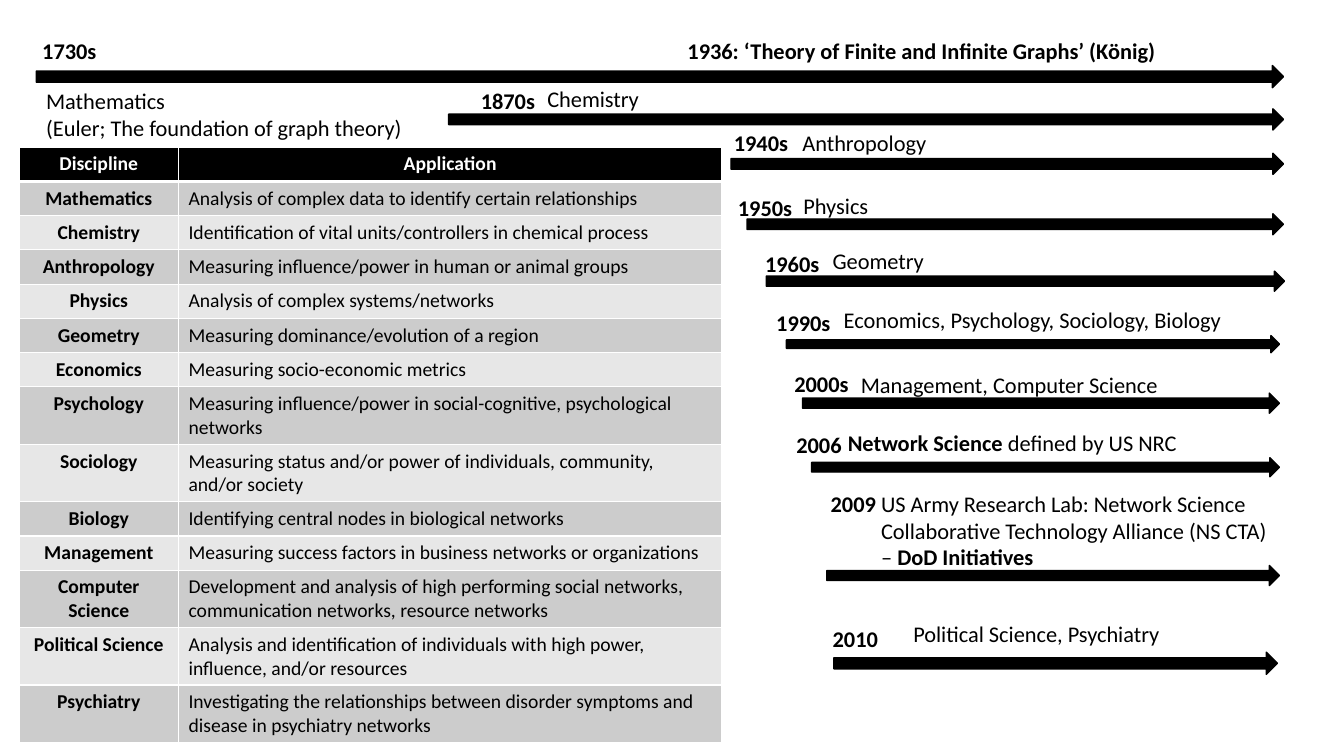
import pptx
import pptx.util
import pptx.dml.color
import pptx.enum.shapes
import pptx.enum.text
import lxml.etree
from dataclasses import dataclass
from pptx.util import Inches


@dataclass(frozen=True)
class Theme:
    font: str = "Calibri"
    black: str = "000000"
    white: str = "FFFFFF"
    bands: tuple = ("CCCCCC", "E7E7E7")
    timeline_size: int = 16
    table_size: int = 14
    thin: int = 1
    thick: int = 3


THEME = Theme()
SLIDE_SIZE = (13.33, 7.5)
LABEL_HEIGHT = 0.37
DRAWING = "http://schemas.openxmlformats.org/drawingml/2006/main"

# Year, year (left, top), arrow (left, top, right, height), label (left, top, width), label spans
# A span is (text, bold)
MILESTONES = [
    ("1870s", (4.67, 0.82), (4.45, 1.08, 12.73, 0.21), (5.33, 0.8, 3.9),
     [("Chemistry", False)]),
    ("1940s", (7.18, 1.23), (7.25, 1.52, 12.73, 0.21), (7.86, 1.23, 1.47),
     [("Anthropology", False)]),
    ("1950s", (7.22, 1.88), (7.41, 2.12, 12.73, 0.21), (7.87, 1.86, 2.47),
     [("Physics", False)]),
    ("1960s", (7.49, 2.43), (7.6, 2.69, 12.74, 0.2), (8.16, 2.4, 2.47),
     [("Geometry", False)]),
    ("1990s", (7.6, 3.02), (7.8, 3.33, 12.69, 0.17), (8.27, 2.99, 5.06),
     [("Economics, Psychology, Sociology, Biology", False)]),
    ("2000s", (7.78, 3.62), (7.96, 3.9, 12.69, 0.2), (8.44, 3.63, 4.78),
     [("Management, Computer Science", False)]),
    ("2006", (7.8, 4.23), (8.05, 4.54, 12.69, 0.19), (8.31, 4.21, 5.02),
     [("Network Science ", True), ("defined by US NRC", False)]),
    ("2009", (8.14, 4.81), (8.2, 5.61, 12.69, 0.2), (8.64, 4.81, 4.09),
     [("US Army Research Lab: Network Science Collaborative Technology "
       "Alliance (NS CTA) – ", False), ("DoD Initiatives", True)]),
    ("2010", (8.16, 6.15), (8.27, 6.47, 12.67, 0.22), (8.96, 6.1, 4.37),
     [("Political Science, Psychiatry", False)]),
]

# Discipline, application, number of text lines
APPLICATIONS = [
    ("Discipline", "Application", 1),
    ("Mathematics", "Analysis of complex data to identify certain relationships", 1),
    ("Chemistry", "Identification of vital units/controllers in chemical process", 1),
    ("Anthropology", "Measuring influence/power in human or animal groups", 1),
    ("Physics", "Analysis of complex systems/networks", 1),
    ("Geometry", "Measuring dominance/evolution of a region", 1),
    ("Economics", "Measuring socio-economic metrics", 1),
    ("Psychology", "Measuring influence/power in social-cognitive, psychological networks", 2),
    ("Sociology", "Measuring status and/or power of individuals, community, and/or society", 2),
    ("Biology", "Identifying central nodes in biological networks", 1),
    ("Management", "Measuring success factors in business networks or organizations", 1),
    ("Computer Science", "Development and analysis of high performing social networks, "
     "communication networks, resource networks", 2),
    ("Political Science", "Analysis and identification of individuals with high power, "
     "influence, and/or resources", 2),
    ("Psychiatry", "Investigating the relationships between disorder symptoms and "
     "disease in psychiatry networks", 2),
]
COLUMN_WIDTHS = (1.58, 5.39)
ROW_HEIGHTS = {1: 0.34, 2: 0.57}


def color(value):
    return pptx.dml.color.RGBColor.from_string(value)


def apply(target, values):
    for name, value in values.items():
        setattr(target, name, value)


def write_spans(para, spans, size, ink=THEME.black):
    for text, bold in spans:
        span = para.add_run()
        span.text = text
        apply(span.font, {"name": THEME.font, "size": pptx.util.Pt(size), "bold": bold})
        span.font.color.rgb = color(ink)


def add_label(page, left, top, width, lines, height=LABEL_HEIGHT):
    box = page.shapes.add_textbox(*map(Inches, (left, top, width, height)))
    frame = box.text_frame
    apply(frame, {"word_wrap": True,
                  "auto_size": pptx.enum.text.MSO_AUTO_SIZE.SHAPE_TO_FIT_TEXT})
    for index, spans in enumerate(lines):
        para = frame.add_paragraph() if index else frame.paragraphs[0]
        write_spans(para, spans, THEME.timeline_size)


def add_arrow(page, left, top, right, height):
    arrow = page.shapes.add_shape(pptx.enum.shapes.MSO_SHAPE.RIGHT_ARROW,
                                  *map(Inches, (left, top, right - left, height)))
    arrow.shadow.inherit = False
    arrow.fill.solid()
    arrow.fill.fore_color.rgb = color(THEME.black)
    arrow.line.color.rgb = color(THEME.black)
    arrow.line.width = pptx.util.Pt(THEME.thin)


def set_borders(cell, widths):
    properties = cell._tc.get_or_add_tcPr()
    for side, width in widths.items():
        line = lxml.etree.SubElement(properties, f"{{{DRAWING}}}ln{side}",
                                     w=str(pptx.util.Pt(width)))
        fill = lxml.etree.SubElement(line, f"{{{DRAWING}}}solidFill")
        lxml.etree.SubElement(fill, f"{{{DRAWING}}}srgbClr", val=THEME.white)


def fill_cell(cell, text, row, column):
    header = row == 0
    set_borders(cell, {"L": THEME.thin, "R": THEME.thin,
                       "T": THEME.thick if row == 1 else THEME.thin,
                       "B": THEME.thick if header else THEME.thin})
    cell.fill.solid()
    cell.fill.fore_color.rgb = color(THEME.black if header else THEME.bands[(row - 1) % 2])
    para = cell.text_frame.paragraphs[0]
    centered = header or column == 0
    align = pptx.enum.text.PP_ALIGN
    para.alignment = align.CENTER if centered else align.LEFT
    write_spans(para, [(text, centered)], THEME.table_size,
                THEME.white if header else THEME.black)


def add_applications(page, left, top):
    heights = [ROW_HEIGHTS[lines] for *_, lines in APPLICATIONS]
    size = (sum(COLUMN_WIDTHS), sum(heights))
    table = page.shapes.add_table(len(heights), len(COLUMN_WIDTHS),
                                  *map(Inches, (left, top, *size))).table
    for column, width in zip(table.columns, COLUMN_WIDTHS):
        column.width = Inches(width)
    for row, (*texts, _) in enumerate(APPLICATIONS):
        table.rows[row].height = Inches(heights[row])
        for column, text in enumerate(texts):
            fill_cell(table.cell(row, column), text, row, column)


def add_milestone(page, year, year_at, arrow, label_at, spans):
    add_arrow(page, *arrow)
    add_label(page, *year_at, 0.98, [[(year, True)]])
    add_label(page, *label_at, [spans], 0.91 if year == "2009" else LABEL_HEIGHT)


def main():
    deck = pptx.Presentation()
    deck.slide_width, deck.slide_height = map(Inches, SLIDE_SIZE)
    page = deck.slides.add_slide(deck.slide_layouts[6])

    # Origins of graph theory
    add_arrow(page, 0.36, 0.65, 12.73, 0.22)
    add_label(page, 0.32, 0.32, 0.98, [[("1730s", True)]])
    add_label(page, 6.72, 0.32, 5.11,
              [[("1936: ‘Theory of Finite and Infinite Graphs’ (König)", True)]])
    add_label(page, 0.36, 0.82, 3.84,
              [[("Mathematics", False)],
               [("(Euler; The foundation of graph theory)", False)]], 0.64)

    # Disciplines and their applications
    add_applications(page, 0.19, 1.46)

    # Later milestones
    for milestone in MILESTONES:
        add_milestone(page, *milestone)

    deck.save("out.pptx")


main()
